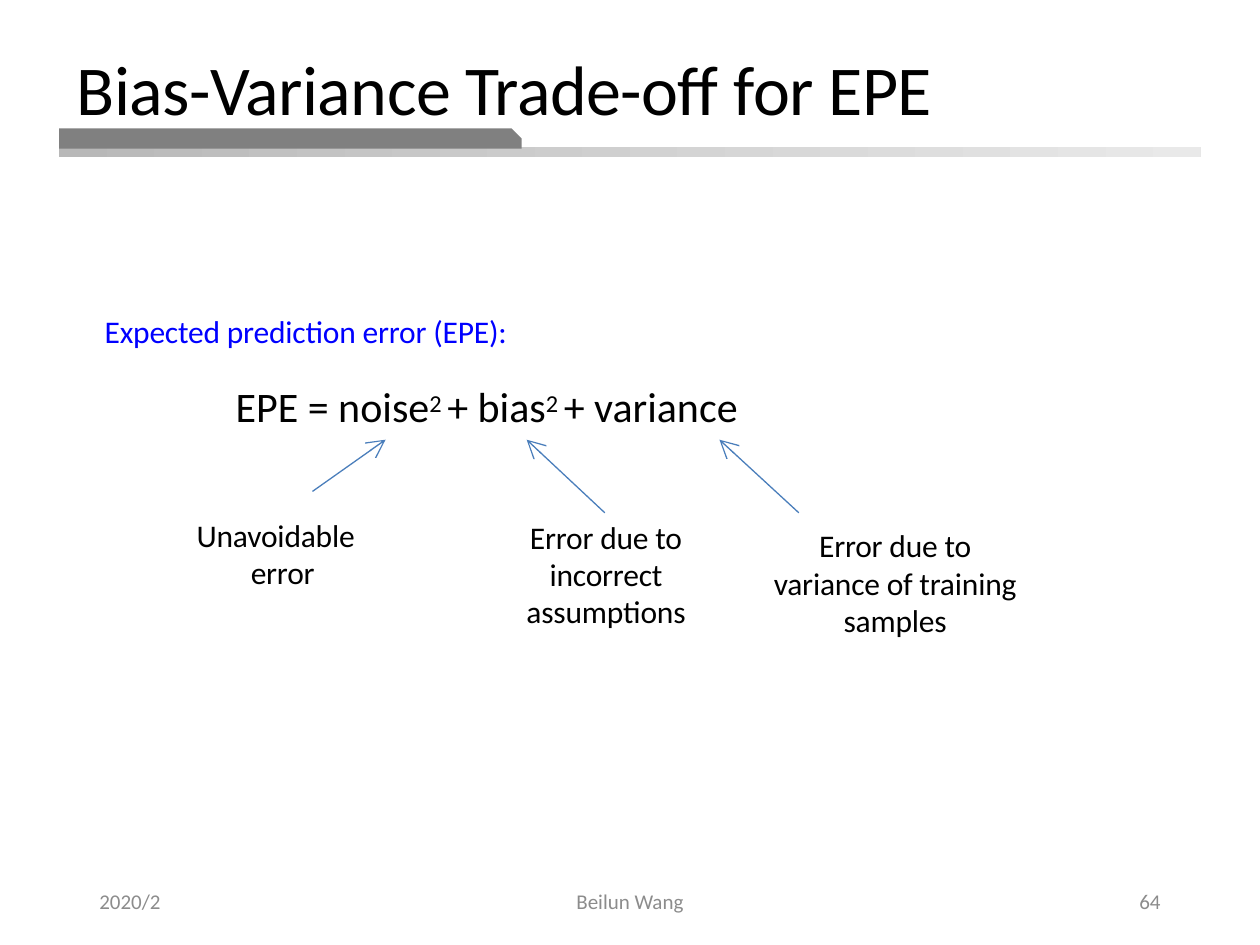
from lxml import etree
from pptx import Presentation
from pptx.dml.color import RGBColor
from pptx.enum.shapes import MSO_CONNECTOR, MSO_SHAPE
from pptx.enum.text import MSO_ANCHOR, MSO_AUTO_SIZE, PP_ALIGN
from pptx.oxml.ns import qn
from pptx.util import Inches, Pt

LEFT, CENTER, RIGHT = PP_ALIGN.LEFT, PP_ALIGN.CENTER, PP_ALIGN.RIGHT
TOP, MIDDLE = MSO_ANCHOR.TOP, MSO_ANCHOR.MIDDLE
NO_FIT = MSO_AUTO_SIZE.NONE
STRAIGHT = MSO_CONNECTOR.STRAIGHT
RECTANGLE, SNIPPED = MSO_SHAPE.RECTANGLE, MSO_SHAPE.SNIP_1_RECTANGLE


def rgb(value):
    return RGBColor.from_string(value)


def write(paragraph, text, size=18, color="000000", align=LEFT, before=0,
          line=None, margin=0, indent=0, spacing=-10):
    paragraph.alignment = align
    paragraph.space_before = Pt(before)
    if line:
        paragraph.line_spacing = line
    properties = paragraph._p.get_or_add_pPr()
    properties.set("marL", str(Inches(margin)))
    properties.set("indent", str(Inches(indent)))
    for number, part in enumerate(text.split("^")):
        for row, words in enumerate(part.split("\n")):
            if row:
                paragraph.add_line_break()
            run = paragraph.add_run()
            run.text = words
            run.font.name = Deck.font
            run.font.size = Pt(size)
            run.font.color.rgb = rgb(color)
            run._r.get_or_add_rPr().set("spc", str(spacing))
            if number % 2:
                run._r.get_or_add_rPr().set("baseline", "24000")


class Deck:
    font = "Calibri"
    accent = "4A7EBB"
    muted = "8C8C8C"

    def __init__(self):
        self.presentation = Presentation()
        self.presentation.slide_width = Inches(10)
        self.presentation.slide_height = Inches(7.5)
        layout = self.presentation.slide_layouts[5]
        self.slide = self.presentation.slides.add_slide(layout)

    def frame(self, shape, insets, anchor=TOP):
        frame = shape.text_frame
        frame.word_wrap = True
        frame.auto_size = NO_FIT
        frame.vertical_anchor = anchor
        (frame.margin_left, frame.margin_top,
         frame.margin_right, frame.margin_bottom) = map(Inches, insets)
        return frame

    def title(self, text, box):
        title = self.slide.shapes.title
        title.left, title.top, title.width, title.height = map(Inches, box)
        frame = self.frame(title, (0.1, 0.05, 0.1, 0.05))
        write(frame.paragraphs[0], text, size=40, before=1, spacing=-30)

    def text(self, text, box, insets=(0, 0.02, 0, 0), anchor=TOP, **style):
        shape = self.slide.shapes.add_textbox(*map(Inches, box))
        frame = self.frame(shape, insets, anchor)
        write(frame.paragraphs[0], text, **style)
        return frame

    def footer(self, text, left, width, align):
        self.text(text, (left, 6.95, width, 0.4), (0.1, 0.05, 0.1, 0.05),
                  MIDDLE, size=12, color=self.muted, align=align, spacing=0)

    def bar(self, kind, box, *colors):
        bar = self.slide.shapes.add_shape(kind, *map(Inches, box))
        bar.shadow.inherit = False
        bar.line.fill.background()
        if len(colors) == 1:
            bar.fill.solid()
            bar.fill.fore_color.rgb = rgb(colors[0])
        else:
            bar.fill.gradient()
            bar.fill.gradient_angle = 0
            for stop, color in zip(bar.fill.gradient_stops, colors):
                stop.color.rgb = rgb(color)
        return bar

    def arrow(self, *ends):
        arrow = self.slide.shapes.add_connector(STRAIGHT, *map(Inches, ends))
        arrow.line.color.rgb = rgb(self.accent)
        arrow.line.width = Pt(0.75)
        etree.SubElement(arrow.line._get_or_add_ln(), qn("a:tailEnd"),
                         type="arrow", w="lg", len="lg")
        etree.SubElement(arrow._element.spPr, qn("a:effectLst"))


def main():
    deck = Deck()
    deck.bar(RECTANGLE, (0.47, 1.17, 9.06, 0.08), "B8B8B8", "E9E9E9")
    tab = deck.bar(SNIPPED, (0.47, 1.02, 3.67, 0.16), "808080")
    tab.adjustments[0] = 0.5
    deck.title("Bias-Variance Trade-off for EPE", (0.51, 0.31, 8.98, 0.61))

    deck.footer("2020/2", 0.69, 2.25, LEFT)
    deck.footer("Beilun Wang", 3.31, 3.38, CENTER)
    deck.footer("64", 7.06, 2.25, RIGHT)

    formula = deck.text("Expected prediction error (EPE):",
                        (0.8, 2.47, 5.88, 0.97), (0, 0.01, 0, 0),
                        color="0000FF", before=1, margin=0.03)
    write(formula.add_paragraph(), "EPE = noise^2 ^+ bias^2 ^+ variance",
          size=24, before=17.2, margin=1.07, spacing=0)

    deck.text("Unavoidable\nerror", (1.55, 4.07, 1.42, 0.62),
              (0, 0.03, 0, 0), before=2.1, line=Pt(21.1),
              margin=0.44, indent=-0.43)
    for cause, box in (
        ("incorrect\nassumptions", (4.09, 4.1, 1.43, 0.92)),
        ("variance of training\nsamples", (6.03, 4.17, 2.14, 0.92)),
    ):
        deck.text("Error due to\n" + cause, box, align=CENTER,
                  before=1.1, line=0.99, margin=0.01)

    for ends in ((2.48, 3.9, 3.06, 3.49), (4.8, 4.07, 4.18, 3.49),
                 (6.34, 4.07, 5.71, 3.49)):
        deck.arrow(*ends)

    deck.presentation.save("out.pptx")


if __name__ == "__main__":
    main()
